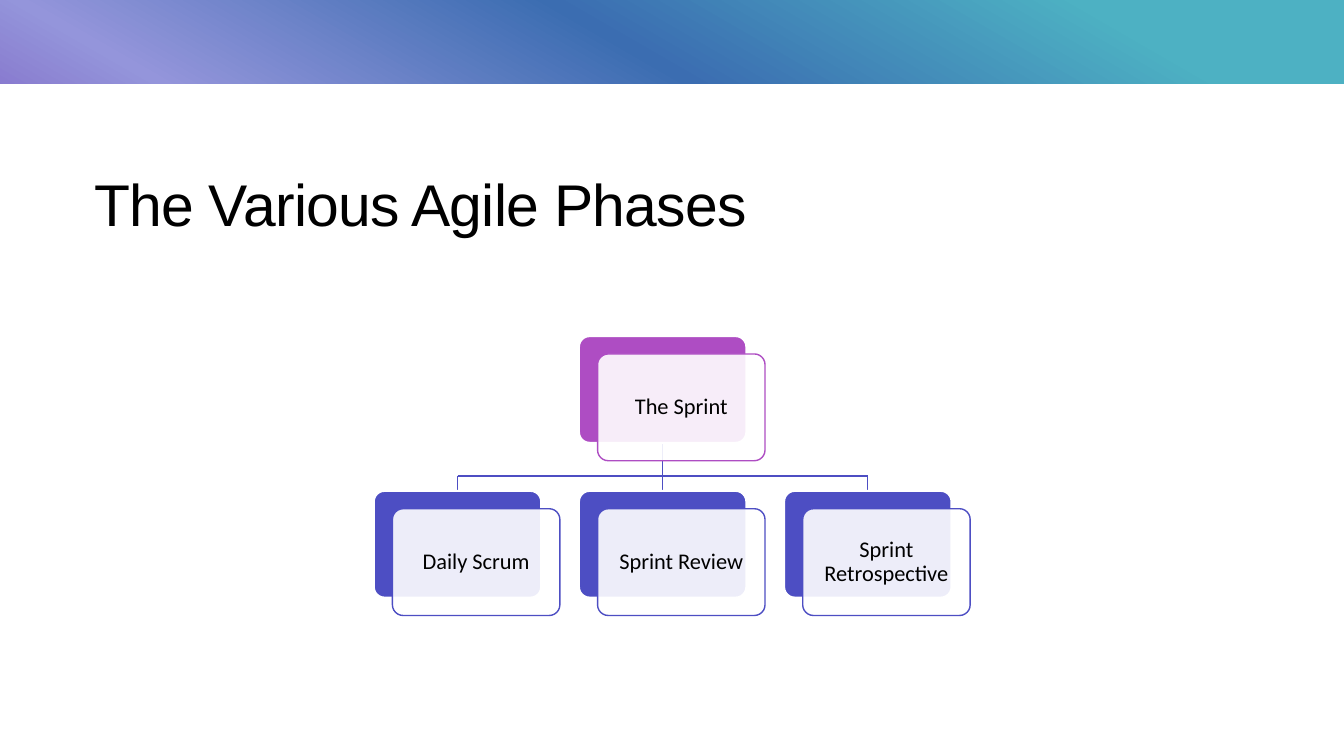
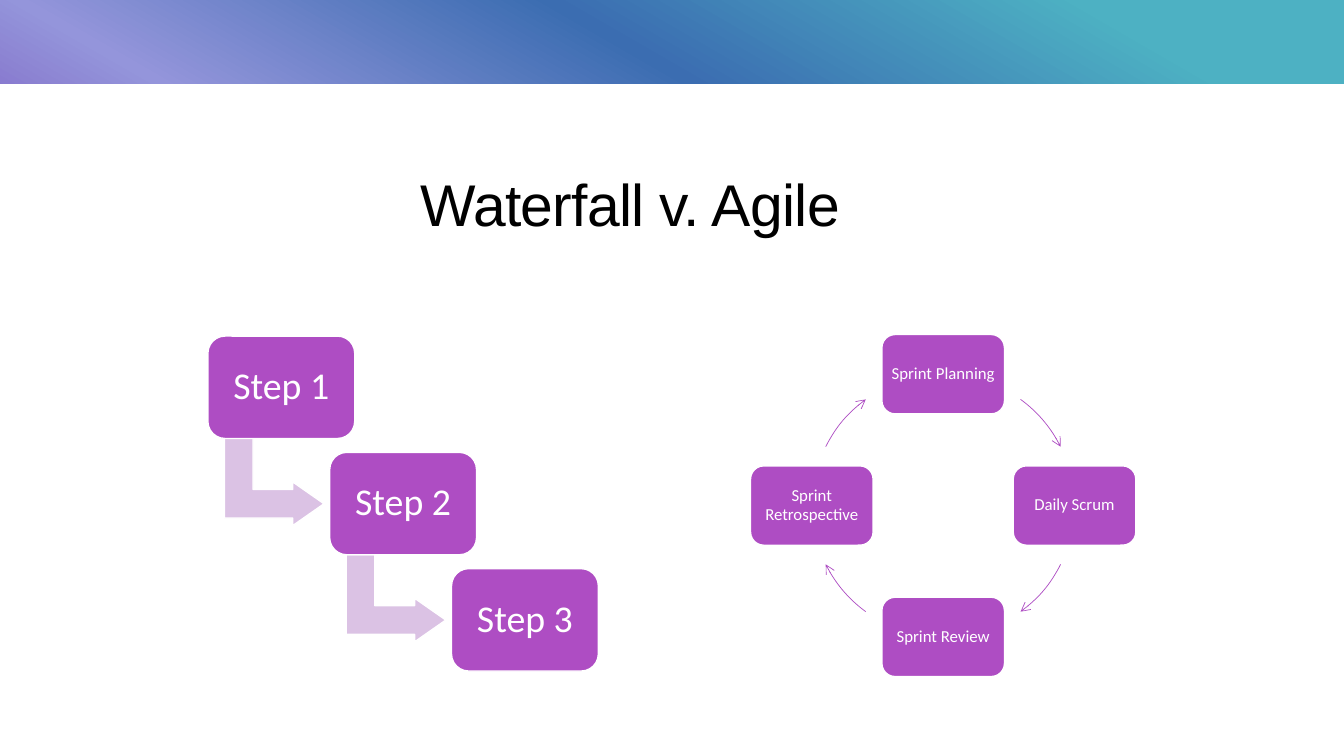
from lxml import etree
from pptx import Presentation
from pptx import util as u
from pptx.dml.color import RGBColor
from pptx.enum import shapes, text
from pptx.oxml.ns import qn

BLUE, PLUM, PALE = "4D4EC3", "AE4DC3", "DBC2E4"
WHITE, BLACK = "FFFFFF", "000000"
STOPS = {10: "4DB1C3", 30: "3B6DB1", 50: "9495DB", 70: "6E3FB3", 90: PLUM}
KIND = shapes.MSO_SHAPE
WIDE, HIGH = 33.87, 19.05


def rgb(code):
    return RGBColor.from_string(code)


def box(slide, kind, area, fill=None, line=None, width=1, adj=(),
        label="", size=12, ink=WHITE, pad=0.0):
    """Add a preset shape, its lengths in cm, with an optional label."""
    shape = slide.shapes.add_shape(kind, *[u.Cm(n) for n in area])
    shape.shadow.inherit = False
    for i, value in enumerate(adj):
        shape.adjustments[i] = value
    if fill:
        shape.fill.solid()
        shape.fill.fore_color.rgb = rgb(fill)
    else:
        shape.fill.background()
    if line:
        shape.line.color.rgb = rgb(line)
        shape.line.width = u.Pt(width)
    else:
        shape.line.fill.background()
    if label:
        frame = shape.text_frame
        look = {"word_wrap": True, "vertical_anchor": text.MSO_ANCHOR.MIDDLE}
        for side in ("left", "right", "top", "bottom"):
            look["margin_" + side] = u.Cm(pad)
        for name, value in look.items():
            setattr(frame, name, value)
        para = frame.paragraphs[0]
        para.text = label
        para.alignment = text.PP_ALIGN.CENTER
        para.line_spacing = 0.9
        for name, value in {"name": "Calibri", "size": u.Pt(size)}.items():
            setattr(para.font, name, value)
        para.font.color.rgb = rgb(ink)
    return shape


deck = Presentation()
deck.slide_width, deck.slide_height = u.Cm(WIDE), u.Cm(HIGH)
plan = deck.slide_layouts[5]

# Slides and titles
heads = [("The Various Agile Phases", 29.63, text.PP_ALIGN.LEFT),
         ("Waterfall v. Agile", 27.52, text.PP_ALIGN.CENTER)]
for words, width, side in heads:
    title = deck.slides.add_slide(plan).shapes.title
    place = {"left": 2.12, "top": 4.22, "width": width, "height": 3.73}
    for name, value in place.items():
        setattr(title, name, u.Cm(value))
    frame = title.text_frame
    frame.text = words
    frame.auto_size = text.MSO_AUTO_SIZE.NONE
    frame.vertical_anchor = text.MSO_ANCHOR.TOP
    para = frame.paragraphs[0]
    para.alignment = side
    para.line_spacing = 0.95
    run = para.runs[0]
    for name, value in {"name": "Arial", "size": u.Pt(42)}.items():
        setattr(run.font, name, value)
    run.font.color.rgb = rgb(BLACK)
    run.font._element.set("spc", "-50")
phase, versus = deck.slides

# Gradient band and white panel, moved to the shared layout
band = box(phase, KIND.RECTANGLE, (0, 0, WIDE, HIGH), WHITE)
band.fill.gradient()
band.fill.gradient_angle = 240
stops = band._element.spPr.find(".//" + qn("a:gsLst"))
for old in list(stops):
    stops.remove(old)
for pos, code in STOPS.items():
    stop = etree.SubElement(stops, qn("a:gs"), pos=str(pos * 1000))
    etree.SubElement(stop, qn("a:srgbClr"), val=code)
panel = box(phase, KIND.RECTANGLE, (0, 2.12, WIDE, HIGH - 2.12), WHITE)
for i, part in enumerate((band, panel)):
    part._element.nvSpPr.cNvPr.set("id", str(20 + i))
    plan.shapes._spTree.insert(2 + i, part._element)

# Phase tree: lines
left, step, upper, lower = 9.42, 5.17, 8.47, 12.37
wide, high = 4.22, 2.69
mid, bar = left + step + wide / 2, 11.99
for x1, y1, x2, y2 in [(mid, upper + high, mid, lower),
                       (mid - step, bar, mid + step, bar),
                       (mid - step, bar, mid - step, lower),
                       (mid + step, bar, mid + step, lower)]:
    wire = phase.shapes.add_connector(
        shapes.MSO_CONNECTOR.STRAIGHT, *[u.Cm(n) for n in (x1, y1, x2, y2)])
    wire.line.color.rgb = rgb(BLUE)
    wire.line.width = u.Pt(1)
    etree.SubElement(wire._element.spPr, qn("a:effectLst"))

# Phase tree: cards
cards = [("The Sprint", 1, upper, PLUM), ("Daily Scrum", 0, lower, BLUE),
         ("Sprint Review", 1, lower, BLUE),
         ("Sprint Retrospective", 2, lower, BLUE)]
for label, col, y, hue in cards:
    x = left + col * step
    box(phase, KIND.ROUNDED_RECTANGLE, (x, y, wide, high), hue, WHITE, 1.5,
        adj=[0.1])
    front = box(phase, KIND.ROUNDED_RECTANGLE, (x + 0.47, y + 0.45, wide, high),
                WHITE, hue, adj=[0.1], label=label, size=16, ink=BLACK,
                pad=0.18)
    tint = front._element.spPr.find(qn("a:solidFill"))[0]
    etree.SubElement(tint, qn("a:alpha"), val="90000")

# Waterfall steps
for i in range(3):
    x, y = 5.24 + i * 3.07, 8.47 + i * 2.93
    if i < 2:
        bend = box(versus, KIND.BENT_UP_ARROW, (x + 0.57, y + 2.42, 2.2, 2.51),
                   PALE, WHITE, adj=[0.328, 0.25, 0.358])
        bend.rotation = 90
    box(versus, KIND.ROUNDED_RECTANGLE, (x, y, 3.7, 2.58), PLUM, WHITE,
        adj=[0.167], label=f"Step {i + 1}", size=27, pad=0.28)

# Agile cycle: boxes clockwise from the top, each followed by an arc
midx, midy, ring = 23.77, 12.74, 3.31
wide, high = 3.09, 2
cycle = [("Sprint Planning", 0, -1, 306.1), ("Daily Scrum", 1, 0, 26.6),
         ("Sprint Review", 0, 1, 126.1), ("Sprint Retrospective", -1, 0, 206.6)]
for label, dx, dy, start in cycle:
    x, y = midx + dx * ring - wide / 2, midy + dy * ring - high / 2
    box(versus, KIND.ROUNDED_RECTANGLE, (x, y, wide, high), PLUM, WHITE,
        label=label, pad=0.13)
    arc = box(versus, KIND.ARC, (midx - ring, midy - ring, 2 * ring, 2 * ring),
              line=PLUM, width=0.5,
              adj=[start * 0.6, (start + 27.3) * 0.6])
    etree.SubElement(arc.line._get_or_add_ln(), qn("a:tailEnd"), type="arrow")

deck.save("out.pptx")
